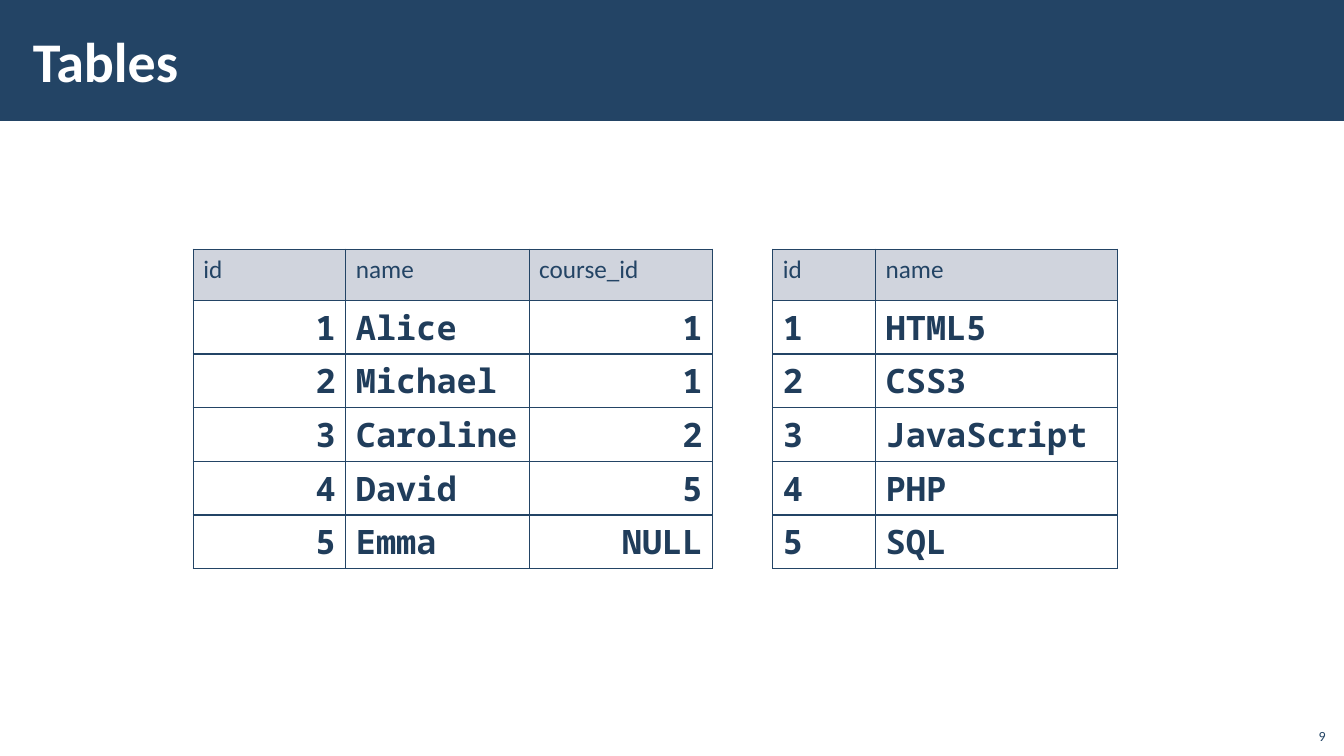
from lxml import etree
from pptx import Presentation
from pptx.dml.color import RGBColor
from pptx.enum.shapes import MSO_SHAPE
from pptx.enum.text import MSO_ANCHOR, PP_ALIGN
from pptx.oxml.ns import qn
from pptx.util import Pt

LEFT, RIGHT = PP_ALIGN.LEFT, PP_ALIGN.RIGHT
MIDDLE, BOTTOM = MSO_ANCHOR.MIDDLE, MSO_ANCHOR.BOTTOM
RECTANGLE = MSO_SHAPE.RECTANGLE

COLORS = {"navy": "234465", "ink": "203D5B", "header": "A3ABBC", "white": "FFFFFF"}

STUDENTS = [
    ("id", "name", "course_id"),
    ("1", "Alice", "1"),
    ("2", "Michael", "1"),
    ("3", "Caroline", "2"),
    ("4", "David", "5"),
    ("5", "Emma", "NULL"),
]
COURSES = [
    ("id", "name"),
    ("1", "HTML5"),
    ("2", "CSS3"),
    ("3", "JavaScript"),
    ("4", "PHP"),
    ("5", "SQL"),
]


def rgb(name):
    """Return the named colour."""
    return RGBColor.from_string(COLORS[name])


def write(tf, text, size=18, color="navy", font="Calibri", bold=False,
          align=LEFT, spacing=None):
    """Put one formatted paragraph into a text frame."""
    p = tf.paragraphs[0]
    p.alignment = align
    p.line_spacing = spacing
    r = p.add_run()
    r.text = text
    r.font.size = Pt(size)
    r.font.name = font
    r.font.bold = bold
    r.font.color.rgb = rgb(color)


def add_title(s, text):
    """Format the title placeholder and lay a band behind it."""
    title = s.shapes.title
    title.left, title.top, title.width, title.height = Pt(15), Pt(8), Pt(765), Pt(70)
    tf = title.text_frame
    tf.vertical_anchor = MIDDLE
    tf.margin_left = tf.margin_right = Pt(8.5)
    tf.margin_top = tf.margin_bottom = Pt(3)
    write(tf, text, size=40, color="white", bold=True)
    band = s.shapes.add_shape(RECTANGLE, 0, 0, Pt(960), Pt(86.4))
    band.shadow.inherit = False
    band.fill.solid()
    band.fill.fore_color.rgb = rgb("navy")
    band.line.fill.background()
    title.element.addprevious(band.element)


def add_borders(cell):
    """Draw a thin line on each side of a cell."""
    tc_pr = cell._tc.get_or_add_tcPr()
    for side in ("a:lnL", "a:lnR", "a:lnT", "a:lnB"):
        ln = etree.SubElement(tc_pr, qn(side), w=str(Pt(1)))
        fill = etree.SubElement(ln, qn("a:solidFill"))
        etree.SubElement(fill, qn("a:srgbClr"), val=COLORS["navy"])


def fill_header(cell):
    """Give a header cell its half-transparent fill."""
    cell.fill.solid()
    cell.fill.fore_color.rgb = rgb("header")
    color = cell._tc.tcPr.find(qn("a:solidFill")).find(qn("a:srgbClr"))
    etree.SubElement(color, qn("a:alpha"), val="50000")


def add_data_table(s, rows, left, widths, aligns):
    """Add a bordered table with a header row."""
    shape = s.shapes.add_table(len(rows), len(widths), Pt(left), Pt(178),
                               Pt(sum(widths)), Pt(36.5 + 36 * (len(rows) - 1)))
    table = shape.table
    table.first_row = table.horz_banding = False
    for column, width in zip(table.columns, widths):
        column.width = Pt(width)
    for i, values in enumerate(rows):
        table.rows[i].height = Pt(36 if i else 36.5)
        for j, value in enumerate(values):
            cell = table.cell(i, j)
            add_borders(cell)
            if i == 0:
                fill_header(cell)
                write(cell.text_frame, value)
            else:
                cell.fill.background()
                write(cell.text_frame, value, size=24, color="ink", bold=True,
                      font="Noto Sans Mono", align=aligns[j], spacing=0.95)


def add_page_number(s, text):
    """Add the page number in the bottom right corner."""
    tf = s.shapes.add_textbox(Pt(925), Pt(512.5), Pt(29), Pt(23)).text_frame
    tf.word_wrap = True
    tf.vertical_anchor = BOTTOM
    write(tf, text, size=10, align=RIGHT)


def main():
    """Build and save the slide."""
    prs = Presentation()
    prs.slide_width, prs.slide_height = Pt(960), Pt(540)
    s = prs.slides.add_slide(prs.slide_layouts[5])
    add_title(s, "Tables")
    add_data_table(s, STUDENTS, 138, (109, 131, 131), (RIGHT, LEFT, RIGHT))
    add_data_table(s, COURSES, 552, (73.5, 173), (LEFT, LEFT))
    add_page_number(s, "9")
    prs.save("out.pptx")


if __name__ == "__main__":
    main()
